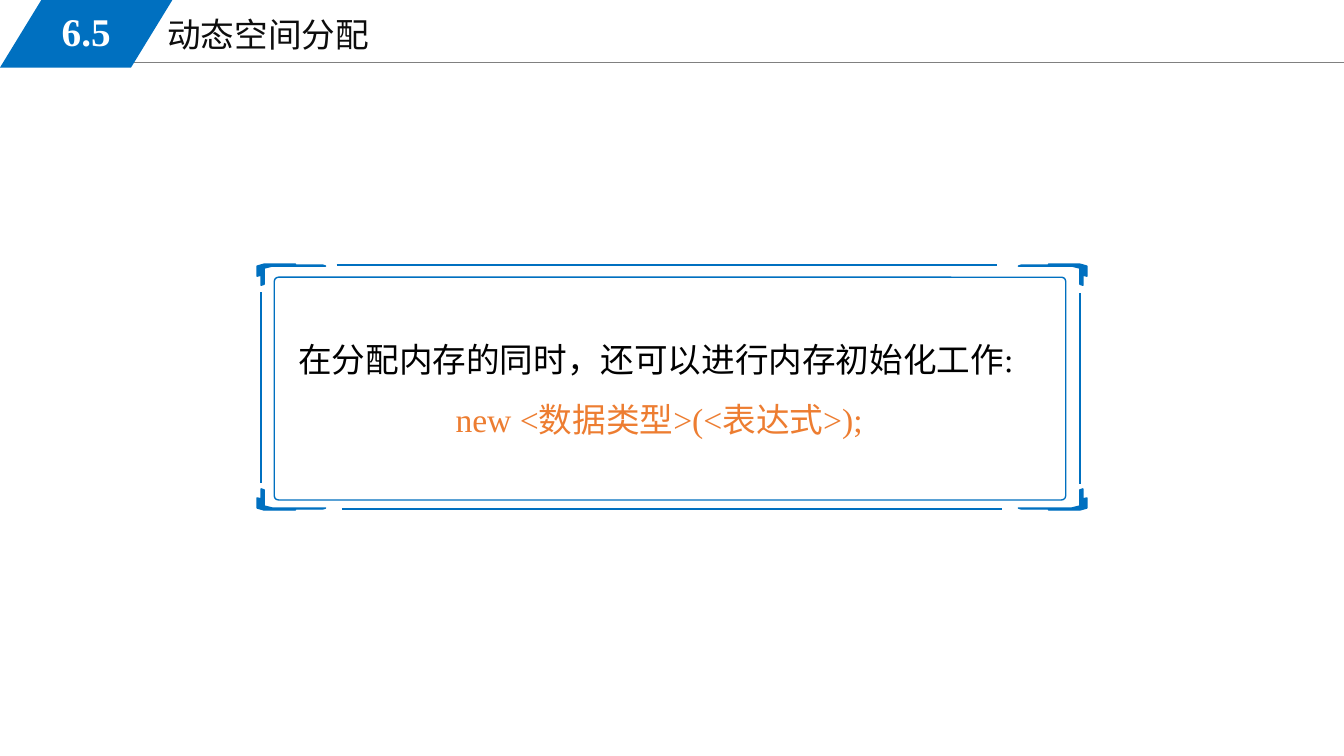
from lxml import etree
from pptx import Presentation
from pptx.dml.color import RGBColor
from pptx.enum.shapes import MSO_CONNECTOR, MSO_SHAPE
from pptx.enum.text import MSO_ANCHOR as ANCHOR, MSO_AUTO_SIZE as AUTO_SIZE, PP_ALIGN as ALIGN
from pptx.oxml.ns import qn
from pptx.util import Inches, Pt

BLUE = RGBColor(0x00, 0x70, 0xC0)
GREY = RGBColor(0x80, 0x80, 0x80)
INK = RGBColor(0x0D, 0x0D, 0x0D)
BLACK = RGBColor(0x00, 0x00, 0x00)
ORANGE = RGBColor(0xED, 0x7D, 0x31)
WHITE = RGBColor(0xFF, 0xFF, 0xFF)

SLIDE_W, SLIDE_H = 13.33, 7.5
TITLE_FONT = {"name": "Times New Roman", "size": Pt(24), "bold": False}
NUMBER_FONT = {"name": "Times New Roman", "size": Pt(28), "bold": True}

# Distances inward from a corner of the frame
BRACKET = [(0.07, 0), (0.38, 0), (0.34, 0.01), (0.65, 0.01), (0.68, 0.02),
           (0.15, 0.02), (0.07, 0.04), (0.07, 0.2), (0.04, 0.21),
           (0.04, 0.11), (0, 0.12), (0, 0.02)]


def write(paragraph, text, font, color, align=ALIGN.LEFT):
    paragraph.text = text
    paragraph.alignment = align
    for name, value in font.items():
        setattr(paragraph.font, name, value)
    paragraph.font.color.rgb = color


def place(shape, left, top, width, height):
    for name, value in zip(("left", "top", "width", "height"), (left, top, width, height)):
        setattr(shape, name, Inches(value))


def set_frame(frame, anchor):
    frame.word_wrap = True
    frame.auto_size = AUTO_SIZE.NONE
    frame.vertical_anchor = anchor


def add_rule(slide, x1, y1, x2, y2, color, weight):
    rule = slide.shapes.add_connector(
        MSO_CONNECTOR.STRAIGHT, Inches(x1), Inches(y1), Inches(x2), Inches(y2))
    rule.line.color.rgb = color
    rule.line.width = Pt(weight)
    etree.SubElement(rule._element.spPr, qn("a:effectLst"))


def outline(shape, color):
    shape.shadow.inherit = False
    shape.line.color.rgb = color
    shape.line.width = Pt(1)


def add_header(slide, left, top, width, number, heading):
    add_rule(slide, left + 1.13, top + 0.62, left + width, top + 0.62, GREY, 0.75)

    title = slide.shapes.title
    place(title, left + 1.56, top + 0.09, 5.67, 0.51)
    set_frame(title.text_frame, ANCHOR.TOP)
    write(title.text_frame.paragraphs[0], heading, TITLE_FONT, INK)

    badge = slide.shapes.add_shape(
        MSO_SHAPE.PARALLELOGRAM, Inches(left), Inches(top), Inches(1.71), Inches(0.67))
    badge.adjustments[0] = 0.612
    badge.shadow.inherit = False
    badge.fill.solid()
    badge.fill.fore_color.rgb = BLUE
    badge.line.fill.background()

    label = slide.shapes.add_textbox(
        Inches(left + 0.25), Inches(top + 0.02), Inches(1.21), Inches(0.58))
    set_frame(label.text_frame, ANCHOR.MIDDLE)
    write(label.text_frame.paragraphs[0], number, NUMBER_FONT, WHITE, ALIGN.CENTER)


def add_bracket(slide, corner_x, corner_y, step_x, step_y):
    """Draw a corner bracket; the steps (1 or -1) point into the frame."""
    points = [(Inches(corner_x + step_x * dx), Inches(corner_y + step_y * dy))
              for dx, dy in BRACKET]
    builder = slide.shapes.build_freeform(*points[0])
    builder.add_line_segments(points[1:], close=True)
    bracket = builder.convert_to_shape()
    outline(bracket, BLUE)
    bracket.fill.solid()
    bracket.fill.fore_color.rgb = BLUE


def add_frame(slide, left, top, width, height):
    right, bottom = left + width, top + height
    panel = slide.shapes.add_shape(
        MSO_SHAPE.ROUNDED_RECTANGLE, Inches(left + 0.17), Inches(top + 0.13),
        Inches(width - 0.38), Inches(height - 0.23))
    panel.adjustments[0] = 0.019
    panel.fill.background()
    outline(panel, BLUE)

    for corner_x, step_x in ((left, 1), (right, -1)):
        for corner_y, step_y in ((top, 1), (bottom, -1)):
            add_bracket(slide, corner_x, corner_y, step_x, step_y)

    for y, start in ((top + 0.01, left + 0.79), (bottom - 0.01, left + 0.84)):
        add_rule(slide, start, y, start + 6.55, y, BLUE, 1)
    for x, start in ((left + 0.04, top + 0.28), (right - 0.07, top + 0.29)):
        add_rule(slide, x, start, x, start + 1.89, BLUE, 1)


def add_syntax(slide, left, top, width, height, lines):
    box = slide.shapes.add_textbox(Inches(left), Inches(top), Inches(width), Inches(height))
    frame = box.text_frame
    set_frame(frame, ANCHOR.TOP)
    for index, (text, color, indent) in enumerate(lines):
        paragraph = frame.add_paragraph() if index else frame.paragraphs[0]
        paragraph.line_spacing = 1.5
        paragraph._p.get_or_add_pPr().set("marL", str(Inches(indent)))
        write(paragraph, text, TITLE_FONT, color)


def main():
    deck = Presentation()
    deck.slide_width, deck.slide_height = Inches(SLIDE_W), Inches(SLIDE_H)
    slide = deck.slides.add_slide(deck.slide_layouts[5])
    add_header(slide, 0, 0, SLIDE_W, "6.5", "动态空间分配")
    add_syntax(slide, 2.86, 3.11, 7.53, 1.24, [
        ("在分配内存的同时，还可以进行内存初始化工作:", BLACK, 0),
        ("new <数据类型>(<表达式>);", ORANGE, 1.56),
    ])
    add_frame(slide, 2.55, 2.62, 8.23, 2.44)
    deck.save("out.pptx")


if __name__ == "__main__":
    main()
